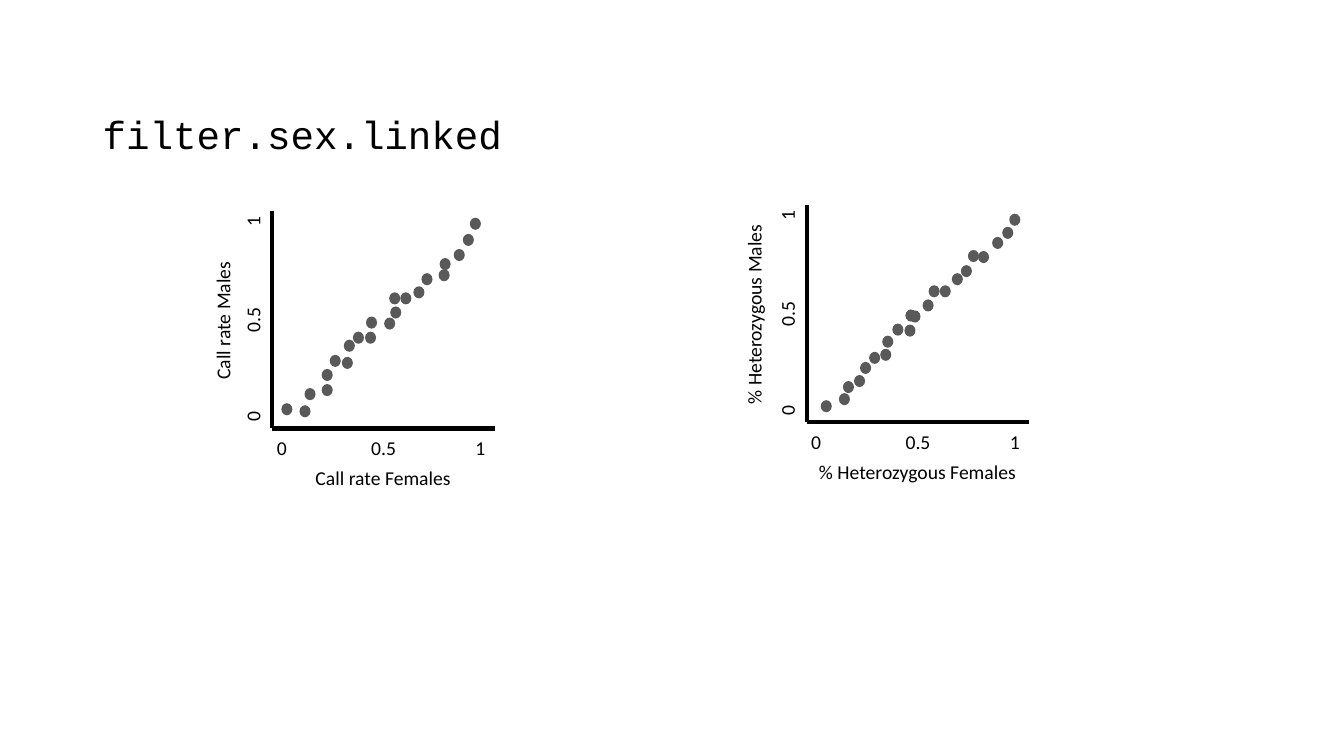
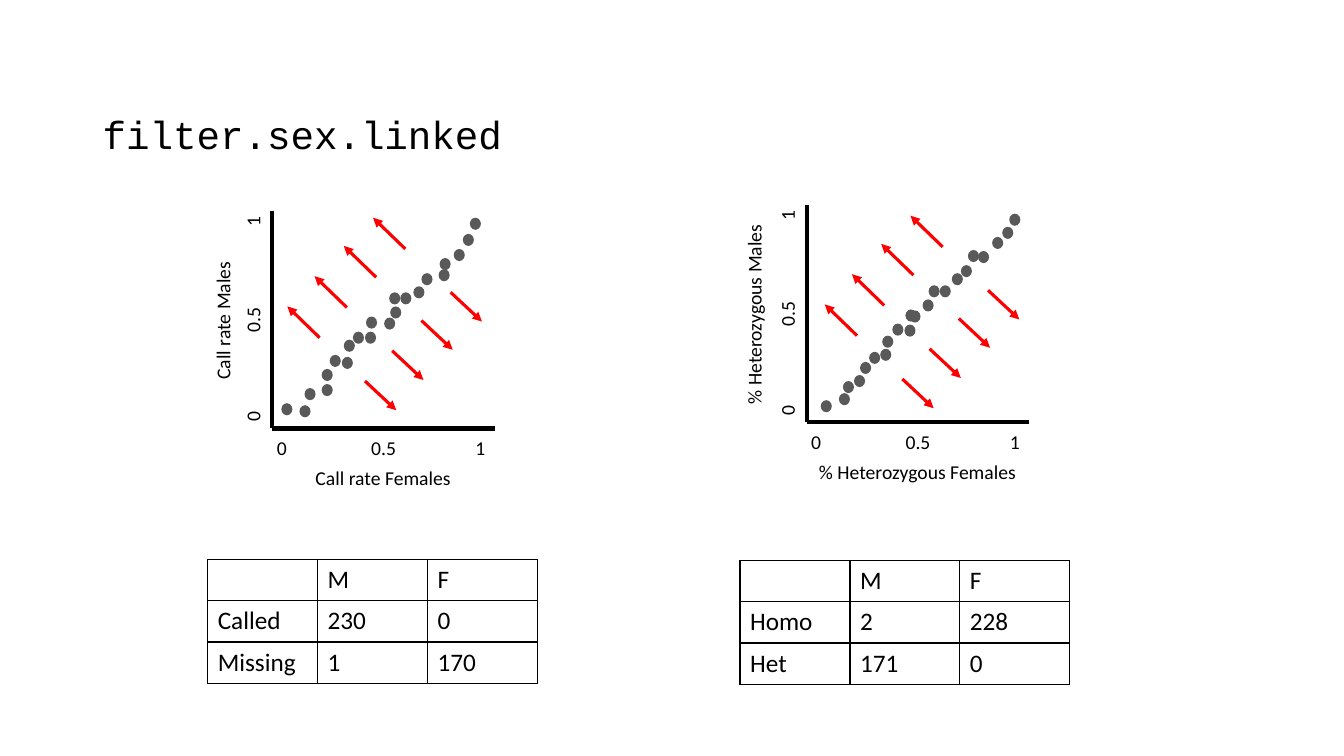
from dataclasses import dataclass

from lxml import etree
from pptx import Presentation
from pptx import util as u
from pptx.dml.color import RGBColor
from pptx.enum import shapes, text
from pptx.oxml import ns


@dataclass(frozen=True)
class Theme:
    """Colours, fonts and type sizes of the deck."""
    ink: str = "000000"
    dot: str = "595959"
    arrow: str = "FF0000"
    body_font: str = "Calibri"
    code_font: str = "Courier New"
    title_size: int = 28
    label_size: int = 14
    table_size: int = 18
    axis_width: float = 3
    arrow_width: float = 2.25
    border_width: float = 1


@dataclass(frozen=True)
class Plot:
    """A sketched scatter plot; offsets run right and up from its origin."""
    origin: tuple
    name: str
    label_offset: float
    arrow_shift: tuple
    dots: tuple


@dataclass(frozen=True)
class Grid:
    """A small table and its top left corner."""
    corner: tuple
    rows: tuple


CALL_RATE = Plot(
    (2.7, 4.25), "Call rate", -0.49, (0, 0),
    ((0.09, 0.25), (0.27, 0.23), (0.32, 0.4), (0.49, 0.44), (0.49, 0.59),
     (0.57, 0.73), (0.69, 0.71), (0.71, 0.88), (0.8, 0.96), (0.92, 0.96),
     (0.93, 1.11), (1.11, 1.1), (1.17, 1.21), (1.16, 1.35), (1.27, 1.35),
     (1.4, 1.41), (1.48, 1.54), (1.65, 1.58), (1.66, 1.69), (1.8, 1.78),
     (1.89, 1.93), (1.96, 2.09)))
HETEROZYGOUS = Plot(
    (8, 4.19), "% Heterozygous", -0.52, (0.03, -0.04),
    ((0.14, 0.22), (0.32, 0.29), (0.36, 0.41), (0.47, 0.47), (0.53, 0.6),
     (0.62, 0.7), (0.73, 0.73), (0.75, 0.86), (0.85, 0.98), (0.97, 0.97),
     (0.98, 1.12), (1.02, 1.11), (1.15, 1.22), (1.21, 1.36), (1.32, 1.36),
     (1.44, 1.48), (1.53, 1.56), (1.6, 1.71), (1.7, 1.7), (1.84, 1.84),
     (1.94, 1.94), (2.01, 2.07)))
PLOTS = (CALL_RATE, HETEROZYGOUS)
GRIDS = (
    Grid((2.06, 5.55), (("", "M", "F"), ("Called", "230", "0"), ("Missing", "1", "170"))),
    Grid((7.34, 5.56), (("", "M", "F"), ("Homo", "2", "228"), ("Het", "171", "0"))),
)
ARROW_STARTS = ((0.92, 0.47), (1.19, 0.77), (1.48, 1.07), (1.77, 1.35))
ARROW_GAP = (-0.45, 0.43)
ARROW_DOWN = (0.31, -0.29)
ARROW_UP = (-0.32, 0.31)
AXIS_WIDTH, AXIS_HEIGHT = 2.21, 2.16
DOT_SIZE = (0.11, 0.12)
LABEL_HEIGHT = 0.34
TICK_INSET = 0.11
CELL_SIZE = (1.09, 0.41)


class Painter:
    """Draws styled elements on the current page."""

    def __init__(self, deck, theme):
        """Keep the deck and its theme."""
        self.deck = deck
        self.theme = theme
        self.page = None

    def new_page(self, title):
        """Start a blank page with a code title."""
        self.page = self.deck.slides.add_slide(self.deck.slide_layouts[6])
        box = self.page.shapes.add_textbox(
            u.Inches(0.92), u.Inches(1.1), u.Inches(11.5), u.Inches(0.6))
        box.text_frame.word_wrap = True
        para = box.text_frame.paragraphs[0]
        para.line_spacing = 0.9
        self.span(para, title, self.theme.title_size, self.theme.code_font)

    def span(self, para, words, size, font=None):
        """Add one styled run."""
        span = para.add_run()
        span.text = words
        span.font.size = u.Pt(size)
        span.font.name = font or self.theme.body_font
        span.font.color.rgb = RGBColor.from_string(self.theme.ink)

    def label(self, group, words, center, width, rotation=0, stops=()):
        """Add a centred label, or ticks placed on centred tab stops."""
        box = group.shapes.add_textbox(
            u.Inches(center[0] - width / 2), u.Inches(center[1] - LABEL_HEIGHT / 2),
            u.Inches(width), u.Inches(LABEL_HEIGHT))
        box.rotation = rotation
        frame = box.text_frame
        frame.word_wrap = True
        para = frame.paragraphs[0]
        para.alignment = text.PP_ALIGN.CENTER
        if stops:
            para.alignment = text.PP_ALIGN.LEFT
            frame.margin_left, frame.margin_right = u.Inches(TICK_INSET), 0
            tabs = etree.SubElement(para._p.get_or_add_pPr(), ns.qn("a:tabLst"))
            for stop in stops:
                etree.SubElement(tabs, ns.qn("a:tab"), pos=str(u.Inches(stop)), algn="ctr")
        self.span(para, words, self.theme.label_size)

    def line(self, group, start, end, color, width, arrow=False):
        """Add a straight line, with an arrowhead at its end if asked."""
        line = group.shapes.add_connector(
            shapes.MSO_CONNECTOR.STRAIGHT, *(u.Inches(value) for value in (*start, *end)))
        line.line.color.rgb = RGBColor.from_string(color)
        line.line.width = u.Pt(width)
        if arrow:
            etree.SubElement(line.line._get_or_add_ln(), ns.qn("a:tailEnd"), type="triangle")
        etree.SubElement(line._element.spPr, ns.qn("a:effectLst"))

    def dot(self, group, left, top):
        """Add one data point."""
        dot = group.shapes.add_shape(
            shapes.MSO_SHAPE.OVAL, u.Inches(left), u.Inches(top),
            *(u.Inches(side) for side in DOT_SIZE))
        dot.shadow.inherit = False
        dot.fill.solid()
        dot.fill.fore_color.rgb = RGBColor.from_string(self.theme.dot)
        dot.line.fill.background()

    def plot(self, plot, arrows=False):
        """Add a grouped scatter plot, with or without its arrows."""
        group = self.page.shapes.add_group_shape()

        def at(right, up):
            return plot.origin[0] + right, plot.origin[1] - up

        if arrows:
            self.arrows(group, at, plot.arrow_shift)
        for end in (at(0, AXIS_HEIGHT), at(AXIS_WIDTH, 0)):
            self.line(group, end, plot.origin, self.theme.ink, self.theme.axis_width)
        ticks = "0\t0.5\t1"
        self.label(group, ticks, at(1.09, -0.2), 2.31, stops=(1.06, 2.02))
        self.label(group, ticks, at(-0.19, 1.07), 2.23, 270, stops=(1.01, 1.99))
        self.label(group, f"{plot.name} Females", at(1.1, -0.49), 2.76)
        self.label(group, f"{plot.name} Males", at(plot.label_offset, 1.07), 2.52, 270)
        for offset in plot.dots:
            self.dot(group, *at(*offset))

    def arrows(self, group, at, shift):
        """Add pairs of arrows that point away from the diagonal."""
        for right, up in ARROW_STARTS:
            low = right + shift[0], up + shift[1]
            high = low[0] + ARROW_GAP[0], low[1] + ARROW_GAP[1]
            for start, move in ((low, ARROW_DOWN), (high, ARROW_UP)):
                end = start[0] + move[0], start[1] + move[1]
                self.line(group, at(*start), at(*end), self.theme.arrow,
                          self.theme.arrow_width, arrow=True)

    def table(self, grid):
        """Add a plain bordered table."""
        count, width = len(grid.rows), len(grid.rows[0])
        table = self.page.shapes.add_table(
            count, width, *(u.Inches(value) for value in grid.corner),
            u.Inches(CELL_SIZE[0] * width), u.Inches(CELL_SIZE[1] * count)).table
        table.first_row = table.horz_banding = False
        for row, values in enumerate(grid.rows):
            for column, value in enumerate(values):
                cell = table.cell(row, column)
                self.borders(cell)
                cell.fill.background()
                if value:
                    self.span(cell.text_frame.paragraphs[0], value, self.theme.table_size)

    def borders(self, cell):
        """Draw all four sides of a cell."""
        for side in ("lnL", "lnR", "lnT", "lnB"):
            edge = etree.SubElement(cell._tc.get_or_add_tcPr(), ns.qn(f"a:{side}"),
                                    w=str(u.Pt(self.theme.border_width)))
            fill = etree.SubElement(edge, ns.qn("a:solidFill"))
            etree.SubElement(fill, ns.qn("a:srgbClr"), val=self.theme.ink)


def main():
    """Build and save the deck."""
    deck = Presentation()
    deck.slide_width, deck.slide_height = u.Inches(13.33), u.Inches(7.5)
    painter = Painter(deck, Theme())
    for detailed in (False, True):
        painter.new_page("filter.sex.linked")
        for plot in PLOTS:
            painter.plot(plot, arrows=detailed)
        if detailed:
            for grid in GRIDS:
                painter.table(grid)
    deck.save("out.pptx")


if __name__ == "__main__":
    main()
